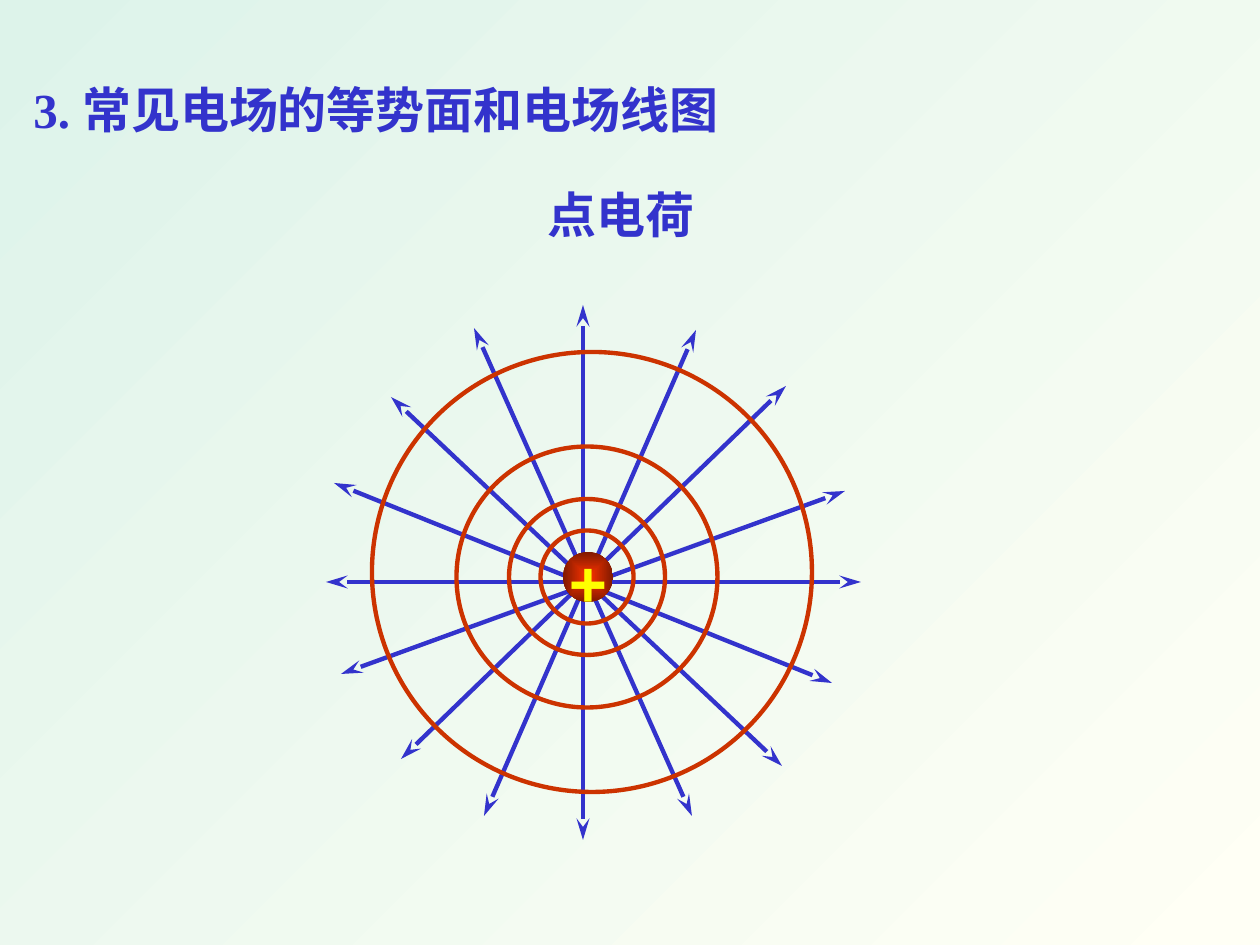
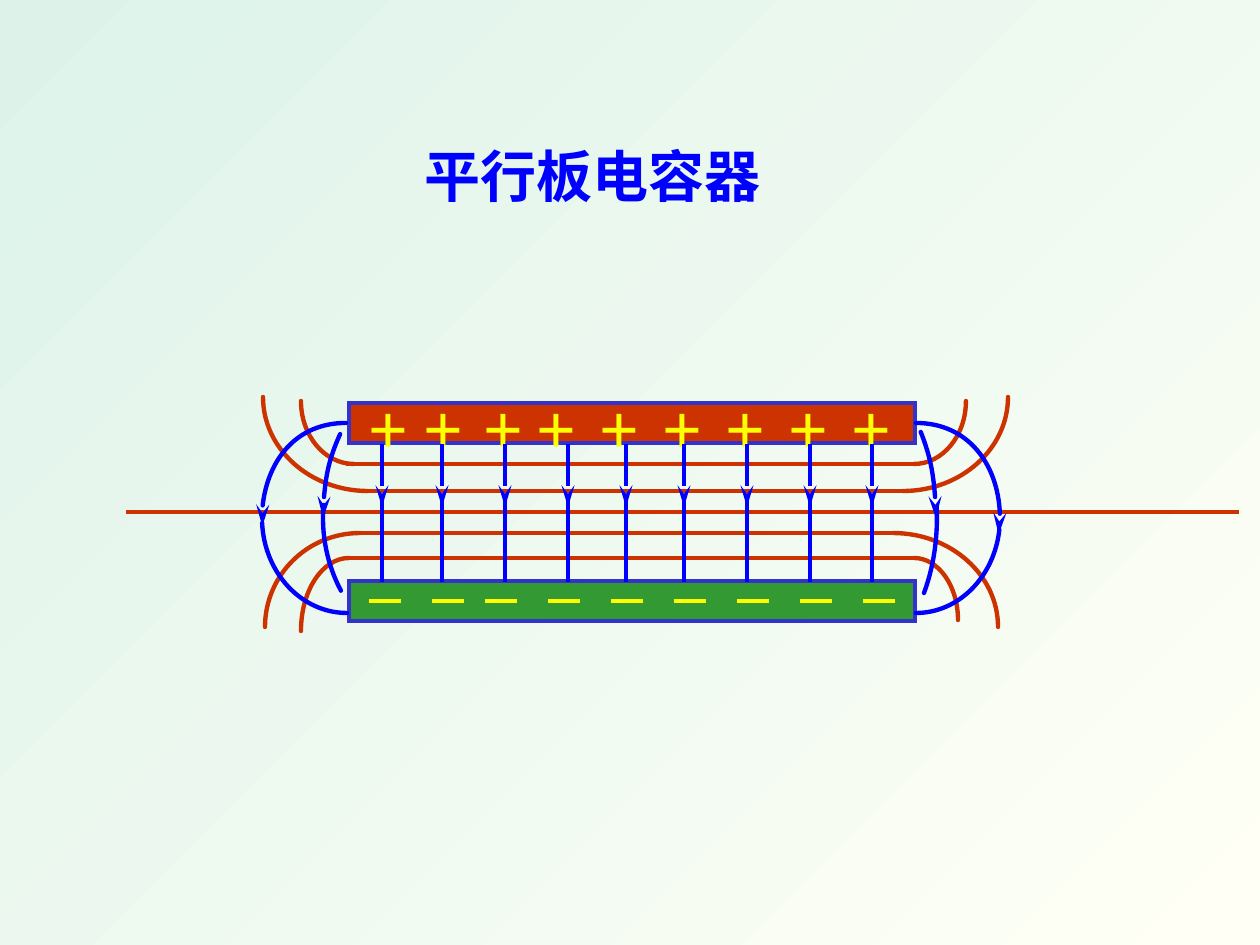
from math import cos, radians, sin, tan

from lxml import etree
from pptx import Presentation
from pptx import util as u
from pptx.dml.color import RGBColor
from pptx.enum import shapes as kinds
from pptx.enum import text as modes
from pptx.oxml import ns

PX = 914400 / 126
INDIGO = RGBColor(0x33, 0x33, 0xCC)
BLUE = RGBColor(0x00, 0x00, 0xFF)
RED = RGBColor(0xCC, 0x33, 0x00)
GREEN = RGBColor(0x33, 0x99, 0x33)
YELLOW = RGBColor(0xFF, 0xFF, 0x00)
GLOW = RGBColor(0xFF, 0x33, 0x00)
EMBER = RGBColor(0x80, 0x1A, 0x00)
MINT = RGBColor(0xDD, 0xF3, 0xEA)
IVORY = RGBColor(0xFF, 0xFF, 0xF5)
SERIF = "Times New Roman"
BONUM = "TeX Gyre Bonum"


def emu(*lengths):
    """Turn px lengths into EMU."""
    return [u.Emu(round(length * PX)) for length in lengths]


def add_element(parent, tag, **attributes):
    """Append a DrawingML element to a parent."""
    return etree.SubElement(parent, ns.qn(tag), attributes)


def color_gradient(fill, first, last):
    """Give a fill a two-colour gradient."""
    fill.gradient()
    for stop, color in zip(fill.gradient_stops, (first, last)):
        stop.color.rgb = color


def stroke(shape, color, head=False, tail=False, rounded=False):
    """Style an outline with optional arrowheads and no shadow."""
    shape.line.color.rgb = color
    shape.line.width = u.Pt(2.5)
    properties = shape._element.spPr
    outline = properties.find(ns.qn("a:ln"))
    if rounded:
        outline.set("cap", "rnd")
        add_element(outline, "a:round")
    else:
        add_element(outline, "a:miter", lim="800000")
    for wanted, tag in [(head, "a:headEnd"), (tail, "a:tailEnd")]:
        if wanted:
            add_element(outline, tag, type="stealth", w="med", len="lg")
    add_element(properties, "a:effectLst")


class Region:
    """A group of parts placed relative to its left and top."""

    def __init__(self, page, left, top):
        self.shapes = page.shapes.add_group_shape().shapes
        self.left, self.top = left, top

    def line(self, start, end, color, **ends):
        """Draw a straight line between two points."""
        connector = self.shapes.add_connector(
            kinds.MSO_CONNECTOR.STRAIGHT,
            *emu(self.left + start[0], self.top + start[1],
                 self.left + end[0], self.top + end[1]))
        stroke(connector, color, **ends)

    def shape(self, kind, left, top, width, height):
        """Place a preset shape."""
        return self.shapes.add_shape(
            kind, *emu(self.left + left, self.top + top, width, height))

    def arc(self, outer, inner, color, start=0, end=90, tail=False):
        """Draw part of an ellipse, upright at outer and level at inner."""
        first, last = radians(start), radians(end)
        pull = 4 / 3 * tan((last - first) / 4)
        points = []
        for angle, reach in [(first, 0), (first, pull), (last, -pull), (last, 0)]:
            across = cos(angle) - reach * sin(angle)
            along = sin(angle) + reach * cos(angle)
            points.append(emu(
                self.left + inner[0] + (outer[0] - inner[0]) * across,
                self.top + outer[1] + (inner[1] - outer[1]) * along))
        builder = self.shapes.build_freeform(*points[0])
        builder.add_line_segments(points[1:], close=False)
        curve = builder.convert_to_shape()
        segments = list(curve._element.iter(ns.qn("a:lnTo")))
        bezier = add_element(segments[0].getparent(), "a:cubicBezTo")
        for segment in segments:
            bezier.append(segment[0])
            segment.getparent().remove(segment)
        curve.fill.background()
        stroke(curve, color, tail=tail, rounded=True)

    def plus(self, left, top, bold=None):
        """Write a plus sign for a positive charge."""
        add_text(self.shapes, (self.left + left, self.top + top, 63, 88),
                 "+", 36, BONUM, YELLOW, bold=bold)


def add_text(shapes, bounds, words, size, font, color, bold=True, wrap=False):
    """Add a text box that holds one run."""
    box = shapes.add_textbox(*emu(*bounds))
    frame = box.text_frame
    frame.word_wrap = wrap
    frame.auto_size = modes.MSO_AUTO_SIZE.SHAPE_TO_FIT_TEXT
    span = frame.paragraphs[0].add_run()
    span.text = words
    span.font.size = u.Pt(size)
    span.font.name = font
    span.font.bold = bold
    span.font.color.rgb = color
    return box


def draw_point_charge(page, left, top):
    """Draw a positive point charge with field lines and equipotentials."""
    region = Region(page, left, top)
    field_lines = [
        ((535, 277), (0, 277)), ((506, 378), (8, 178)),
        ((456, 461), (65, 92)), ((370, 25), (158, 511)),
        ((519, 186), (15, 369)), ((75, 454), (460, 81)),
        ((257, 535), (257, 0)), ((366, 511), (148, 23)),
    ]
    for start, end in field_lines:
        region.line(start, end, INDIGO, head=True, tail=True)

    ball = region.shape(kinds.MSO_SHAPE.OVAL, 237, 247, 50, 50)
    color_gradient(ball.fill, GLOW, EMBER)
    gradient = ball._element.spPr.find(ns.qn("a:gradFill"))
    gradient.remove(gradient.find(ns.qn("a:lin")))
    radial = add_element(gradient, "a:path", path="shape")
    add_element(radial, "a:fillToRect", l="50000", t="50000", r="50000", b="50000")
    ball.line.fill.background()
    ball.shadow.inherit = False
    region.plus(231, 227, bold=True)

    for x, y, size in [(261, 272, 261), (261, 272, 156), (266, 267, 440), (261, 272, 93)]:
        ring = region.shape(kinds.MSO_SHAPE.OVAL, x - size / 2, y - size / 2, size, size)
        ring.fill.background()
        stroke(ring, RED)


def draw_capacitor(page, left, top):
    """Draw a parallel-plate capacitor with its field and equipotentials."""
    region = Region(page, left, top)
    for plate_top, color in [(203, GREEN), (25, RED)]:
        plate = region.shape(kinds.MSO_SHAPE.RECTANGLE, 223, plate_top, 566, 40)
        plate.fill.solid()
        plate.fill.fore_color.rgb = color
        stroke(plate, INDIGO)
    for x in (651, 346, 714, 588, 462, 231, 525, 399, 286):
        region.plus(x, -1)
    for x in [243, 306, *range(359, 738, 63)]:
        region.line((x, 223), (x + 32, 223), YELLOW)

    equipotentials = [(0, 1113, 134), (220, 788, 180), (242, 777, 113),
                      (220, 788, 86), (231, 771, 155)]
    for start, end, y in equipotentials:
        region.line((start, y), (end, y), RED)
    equipotential_ends = [
        ((882, 19), (777, 113)), ((872, 249), (767, 155)),
        ((139, 249), (234, 155)), ((137, 19), (242, 113)),
        ((840, 23), (788, 86)), ((832, 242), (788, 180)),
        ((175, 253), (223, 180)), ((175, 23), (228, 86)),
    ]
    for outer, inner in equipotential_ends:
        region.arc(outer, inner, RED)

    for x in (256, 316, 379, 442, 500, 558, 621, 684, 746):
        region.line((x, 66), (x, 129), BLUE, tail=True)
        region.line((x, 120), (x, 204), BLUE)
    edge_field = [
        ((811, 140), (714, 290), -4, 30, False),
        ((810, 140), (726, -10), 35, 0, True),
        ((197, 140), (340, 290), -5, 29, False),
        ((197, 140), (297, -10), 34, 0, True),
        ((874, 140), (790, 235), 7, 90, False),
        ((136, 140), (221, 235), 3, 90, False),
        ((874, 140), (790, 45), 90, -10, True),
        ((136, 140), (220, 45), 90, -5, True),
    ]
    for outer, inner, start, end, tail in edge_field:
        region.arc(outer, inner, BLUE, start, end, tail)


def build_charge_page(page):
    """Build the point charge slide."""
    draw_point_charge(page, 326, 305)
    add_text(page.shapes, (535, 178, 173, 72), "点电荷", 28, SERIF, INDIGO)
    title = add_text(page.shapes, (21, 73, 714, 72), "3. 常见电场的等势面和电场线图",
                     28, SERIF, INDIGO, wrap=True)
    title.text_frame.auto_size = modes.MSO_AUTO_SIZE.NONE
    title.text_frame.vertical_anchor = modes.MSO_ANCHOR.MIDDLE


def build_capacitor_page(page):
    """Build the parallel-plate capacitor slide."""
    add_text(page.shapes, (412, 135, 377, 81), "平行板电容器", 32, BONUM, BLUE, wrap=True)
    draw_capacitor(page, 126, 378)


def main():
    """Build and save the deck."""
    deck = Presentation()
    deck.slide_width, deck.slide_height = emu(1260, 945)
    backdrop = deck.slide_master.background.fill
    color_gradient(backdrop, MINT, IVORY)
    backdrop.gradient_angle = 315
    for build in (build_charge_page, build_capacitor_page):
        build(deck.slides.add_slide(deck.slide_layouts[6]))
    deck.save("out.pptx")


if __name__ == "__main__":
    main()
